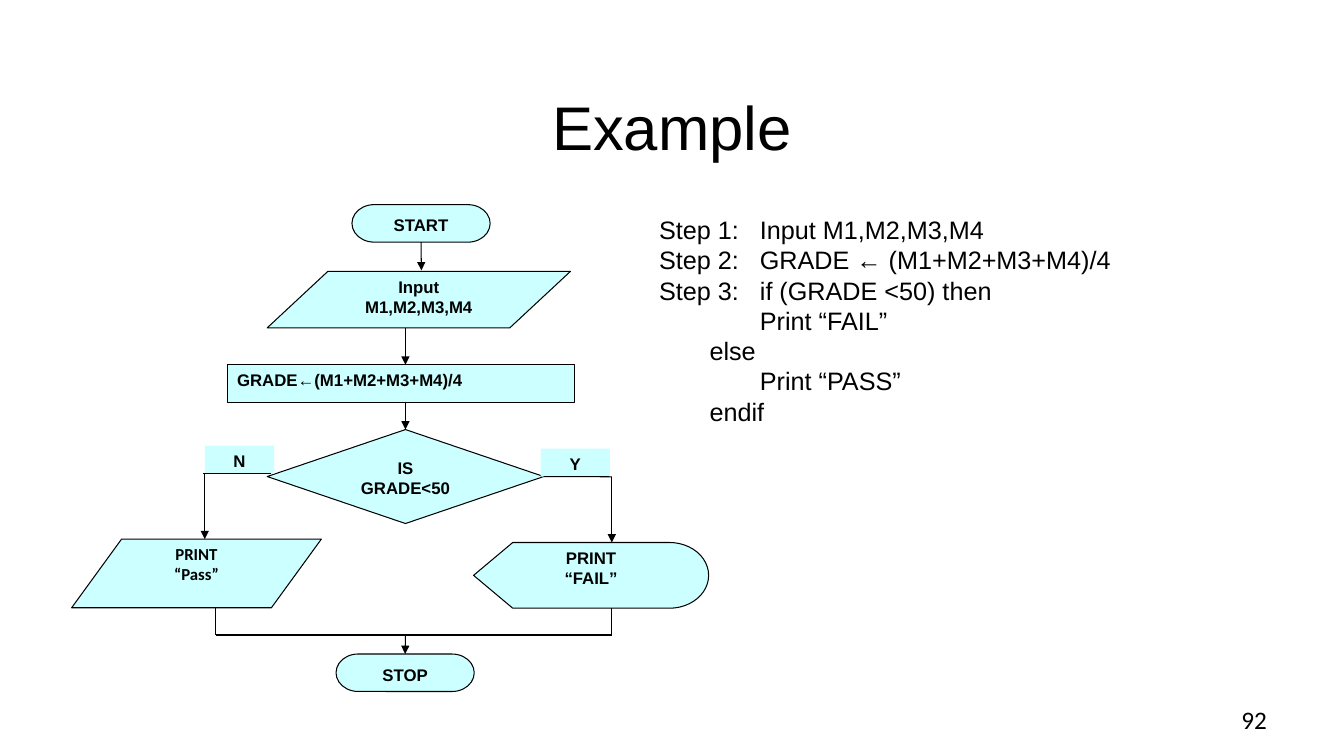
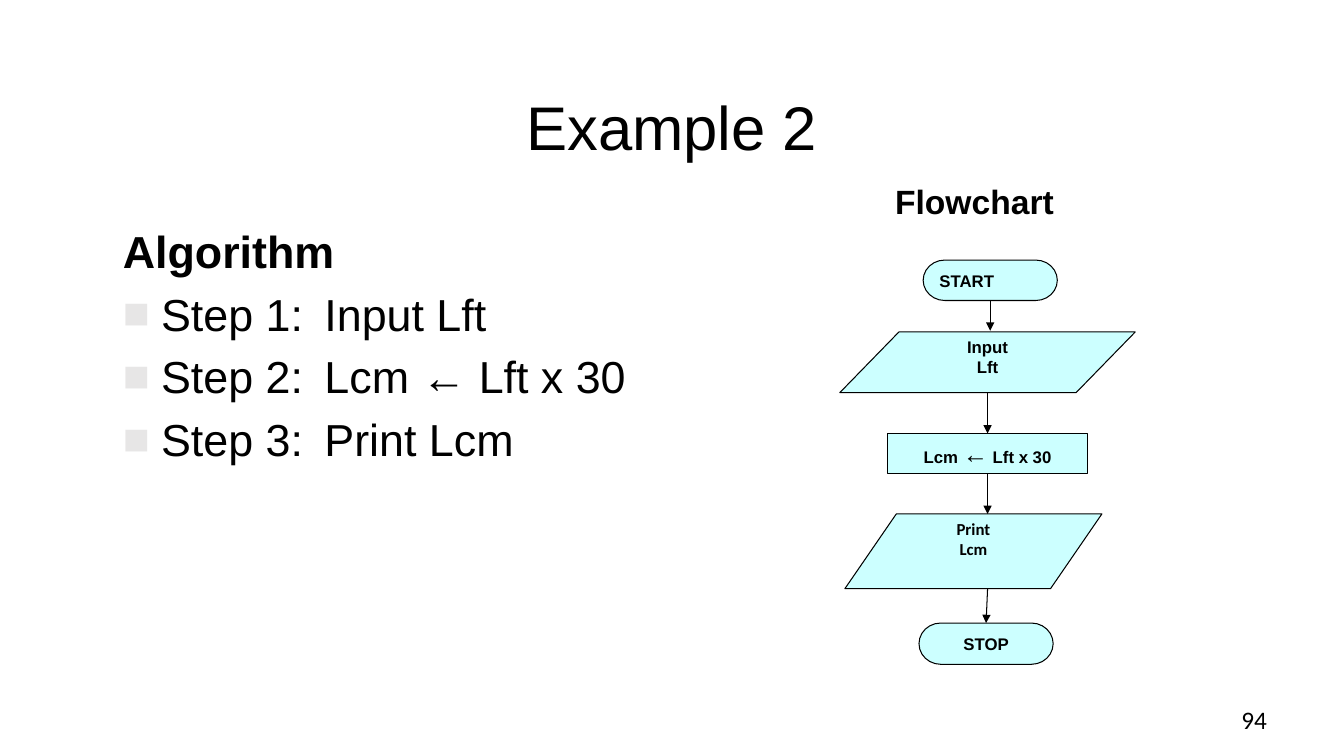
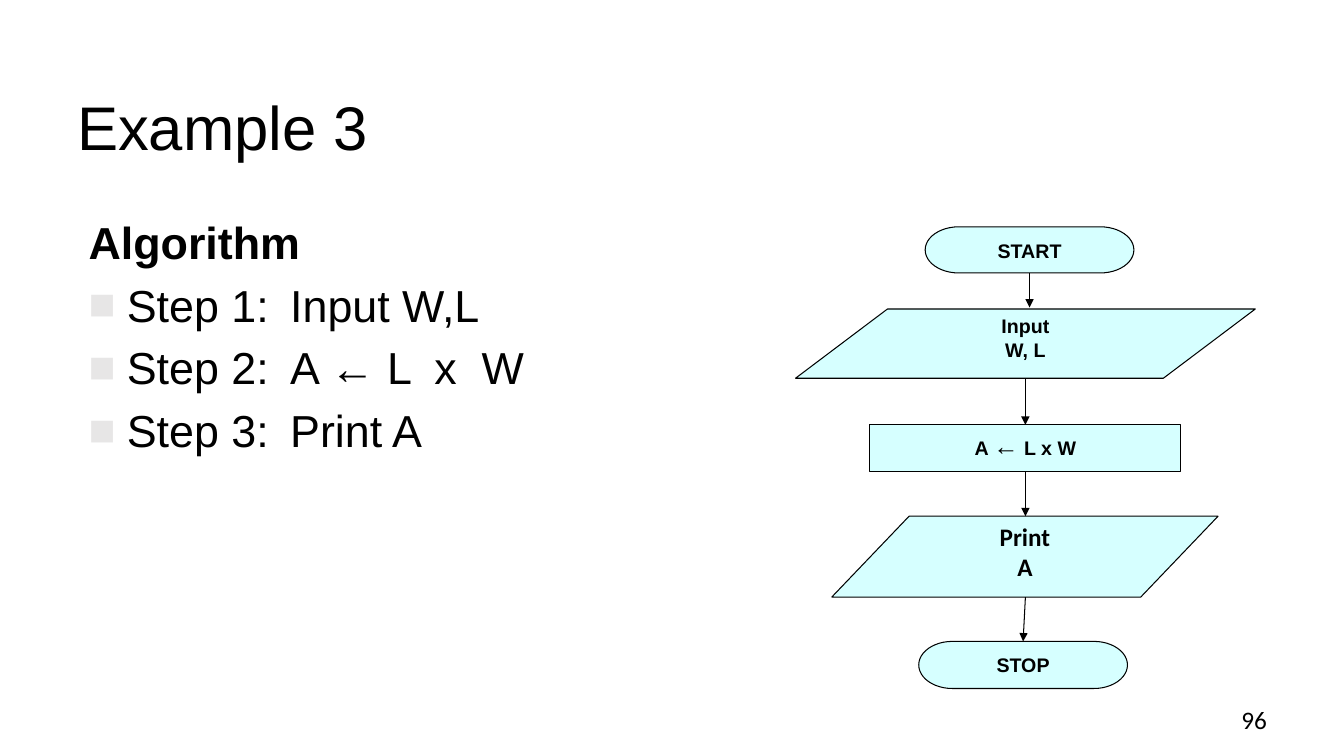
from pptx import Presentation, util as u
from pptx.dml.color import RGBColor
from pptx.enum import shapes, text
from pptx.oxml import ns
from lxml import etree

BLACK = RGBColor(0x00, 0x00, 0x00)
AQUA = RGBColor(0xCC, 0xFF, 0xFF)
GREY = RGBColor(0xE7, 0xE6, 0xE6)
WIDE, HIGH = 13.33, 7.5
PAGE = (0, 0, WIDE, HIGH)
KIND = shapes.MSO_SHAPE
LEFT, MID, RIGHT = text.PP_ALIGN.LEFT, text.PP_ALIGN.CENTER, text.PP_ALIGN.RIGHT
TOP, CORE, LOW = text.MSO_ANCHOR.TOP, text.MSO_ANCHOR.MIDDLE, text.MSO_ANCHOR.BOTTOM
LABEL = dict(size=12, bold=True)
PLAIN = dict(size=12, bold=True, name="Calibri")


def put(item, vals):
    """Set each format value on an item."""
    for key, val in vals.items():
        setattr(item, key, val)


def part(box, x, y, w, h):
    """Return the part of a box given in percent of its size."""
    return (box[0] + box[2] * x / 100, box[1] + box[3] * y / 100,
            box[2] * w / 100, box[3] * h / 100)


def inch(vals):
    """Turn numbers into inch lengths."""
    return [u.Inches(val) for val in vals]


def node(root, tag, **vals):
    """Append a drawing element with its attributes."""
    sub = etree.SubElement(root, ns.qn("a:" + tag))
    for key, val in vals.items():
        sub.set(key, str(val))
    return sub


def indent(para, left=0, hang=0, tabs=(), mark=None):
    """Give a paragraph its indents, bullet and tab stops."""
    props = para._p.get_or_add_pPr()
    props.set("marL", str(u.Inches(left)))
    props.set("indent", str(u.Inches(-hang)))
    if mark:
        node(node(props, "buClr"), "srgbClr", val=GREY)
        node(props, "buFont", typeface="Arial")
        node(props, "buChar", char=mark)
    if tabs:
        stops = node(props, "tabLst")
        for tab in tabs:
            node(stops, "tab", pos=u.Inches(tab), algn="l")


def write(para, line, font, odd=None):
    """Write a line whose bars part plain runs from odd ones."""
    for num, bit in enumerate(line.split("|")):
        run = para.add_run()
        run.text = bit
        look = dict(name="Arial", bold=False) | font | (odd or {} if num % 2 else {})
        put(run.font, look | dict(size=u.Pt((look["size"]))))
        run.font.color.rgb = BLACK


def fill(shape, lines, font, align=LEFT, anchor=TOP, odd=None):
    """Fill a shape with lines and return its paragraphs."""
    frame = shape.text_frame
    put(frame, dict(word_wrap=True, vertical_anchor=anchor))
    paras = []
    for num, line in enumerate(lines):
        para = frame.add_paragraph() if num else frame.paragraphs[0]
        para.alignment = align
        write(para, line, font, odd)
        paras.append(para)
    return paras


def words(slide, box, lines, font, align=LEFT, anchor=TOP):
    """Place a text box and return its paragraphs."""
    return fill(slide.shapes.add_textbox(*inch(box)), lines, font, align, anchor)


def block(slide, box, kind, lines, font=LABEL, align=MID, edge=True, alpha=100, odd=None):
    """Place one flowchart block."""
    shape = slide.shapes.add_shape(kind, *inch(box))
    shape.shadow.inherit = False
    shape.fill.solid()
    shape.fill.fore_color.rgb = AQUA
    if alpha < 100:
        node(shape._element.spPr.find(ns.qn("a:solidFill"))[0], "alpha", val=alpha * 1000)
    if edge:
        shape.line.color.rgb = BLACK
        shape.line.width = u.Pt(0.75)
    else:
        shape.line.fill.background()
    fill(shape, lines, font, align, odd=odd)
    return shape


def wire(slide, box, ends, head=True, start=None, stop=None):
    """Draw a line between two points of a box, joined where sides are given."""
    x, y, w, h = part(box, *ends[:2], ends[2] - ends[0], ends[3] - ends[1])
    line = slide.shapes.add_connector(shapes.MSO_CONNECTOR.STRAIGHT,
                                      *inch((x, y, x + w, y + h)))
    if start:
        line.begin_connect(*start)
    if stop:
        line.end_connect(*stop)
    line.line.color.rgb = BLACK
    line.line.width = u.Pt(0.75)
    props = line._element.spPr
    if head:
        node(props.find(ns.qn("a:ln")), "tailEnd", type="triangle")
    node(props, "effectLst")


def base(deck, title, num, align=MID):
    """Add a slide with its title and number."""
    slide = deck.slides.add_slide(deck.slide_layouts[6])
    words(slide, part(PAGE, 5, 6.67, 90, 20), [title], dict(size=44), align, CORE)
    words(slide, part(PAGE, 71.7, 91.1, 23.3, 6.67), [num],
          dict(size=18, name="Calibri"), RIGHT, LOW)
    return slide


def steps(slide, box, rows):
    """Write steps, each line at its own indent."""
    paras = words(slide, box, [row[1] for row in rows], dict(size=18))
    for para, (left, _) in zip(paras, rows):
        indent(para, left, tabs=(1,))


def points(slide, box, lines, tabs):
    """Write the algorithm as a bold heading over bulleted steps."""
    paras = words(slide, box, ["Algorithm", *lines], dict(size=32))
    paras[0].runs[0].font.bold = True
    for num, para in enumerate(paras):
        indent(para, 0.38, 0.38, tabs, "■" if num else None)
        if num:
            para.space_before = u.Pt(6.4)


def branch(slide, box):
    """Draw the grade flowchart with its two branches."""
    def add(place, kind, *lines, **opts):
        return block(slide, part(box, *place), kind, lines, **opts)

    axis, west, east, join = 52.4, 22.6, 84.8, 88.4
    start = add((44, 0, 21.7, 7.7), KIND.FLOWCHART_TERMINATOR, "START")
    add((30.7, 13.7, 47.6, 11.6), KIND.FLOWCHART_DATA, "Input", "M1,M2,M3,M4")
    add((24.4, 32.9, 54.6, 7.7), KIND.FLOWCHART_PROCESS, "GRADE←(M1+M2+M3+M4)/4", align=LEFT)
    test = add((30.7, 46.2, 43.4, 19.3), KIND.FLOWCHART_DECISION, "IS", "GRADE<50")
    add((63.1, 69.4, 36.9, 13.5), KIND.FLOWCHART_DISPLAY, "PRINT", "“FAIL”")
    add((0, 68.7, 39.2, 14.1), KIND.FLOWCHART_DATA, "PRINT", "“Pass”", font=PLAIN)
    stop = add((41.5, 92.3, 21.7, 7.7), KIND.FLOWCHART_TERMINATOR, "STOP")
    for x, y, name in ((73.6, 50.1, "Y"), (20.9, 49.5, "N")):
        add((x, y, 10.9, 5.8), KIND.RECTANGLE, name, edge=False)
    for ends, opts in (
            ((54.9, 7.7, 54.9, 13.5), dict(start=(start, 2))),
            ((axis, 25.3, axis, 32.9), {}),
            ((axis, 40.6, axis, 46.2), dict(stop=(test, 0))),
            ((axis, join, axis, 92.3), dict(stop=(stop, 0))),
            ((74.1, 55.9, east, 55.9), dict(head=False, start=(test, 3))),
            ((east, 55.9, east, 69.4), {}),
            ((20.6, 55.3, 31.3, 55.3), dict(head=False)),
            ((20.9, 55.3, 20.9, 68.7), {}),
            ((west, join, east, join), dict(head=False)),
            ((west, join, west, 82.8), dict(head=False)),
            ((east, join, east, 82.8), dict(head=False))):
        wire(slide, box, ends, **opts)


def chain(slide, box, texts, last, fonts, align=MID, alpha=100):
    """Draw five blocks in a column joined by arrows."""
    odd = dict(size=18, bold=False)
    rows = (((28.2, 0, 45.4, 10), KIND.FLOWCHART_TERMINATOR, align),
            ((0, 17.8, 100, 15), KIND.FLOWCHART_DATA, MID),
            ((16.2, 42.9, 67.6, 10), KIND.FLOWCHART_PROCESS, MID),
            (last, KIND.FLOWCHART_DATA, MID),
            ((26.8, 89.8, 45.4, 10.2), KIND.FLOWCHART_TERMINATOR, MID))
    label, output = fonts
    start, _, work, _, stop = [
        block(slide, part(box, *place), kind, lines, output if place is last else label,
              side, alpha=alpha, odd=odd)
        for (place, kind, side), lines in zip(rows, texts)]
    for ends, opts in (((50.9, 10, 50.9, 17.5), dict(start=(start, 2))),
                       ((50, 32.8, 50, 42.9), dict(stop=(work, 0))),
                       ((50, 52.9, 50, last[1]), dict(start=(work, 2))),
                       ((50, last[1] + last[3], 50, 89.8), dict(stop=(stop, 0)))):
        wire(slide, box, ends, **opts)


def main():
    """Build and save the three slides."""
    deck = Presentation()
    put(deck, dict(slide_width=u.Inches(WIDE), slide_height=u.Inches(HIGH)))

    slide = base(deck, "Example", "92")
    steps(slide, part(PAGE, 48.3, 27.7, 50, 33.6), (
        (0, "Step 1:\tInput M1,M2,M3,M4"), (0, "Step 2:\tGRADE ← (M1+M2+M3+M4)/4"),
        (0, "Step 3:\tif (GRADE <50) then"), (1, "Print “FAIL”"), (0.5, "else"),
        (1, "Print “PASS”"), (0.5, "endif")))
    branch(slide, part(PAGE, 5.33, 27.07, 47.4, 64.4))

    slide = base(deck, "Example 2", "94")
    points(slide, part(PAGE, 8.4, 28.93, 86.6, 56.7),
           ("Step 1:\tInput Lft", "Step 2:\tLcm ← Lft x 30", "Step 3:\tPrint Lcm"), (2,))
    words(slide, part(PAGE, 65.87, 23.33, 24.2, 6.67), ["Flowchart"], dict(size=24, bold=True))
    chain(slide, part(PAGE, 62.49, 34.4, 21.98, 53.47),
          (["START"], ["Input", "Lft"], ["Lcm |←| Lft x 30"], ["Print", "Lcm"], ["STOP"]),
          (1.7, 62.8, 87, 18.5), (LABEL, PLAIN), align=LEFT)

    slide = base(deck, "Example 3", "96", LEFT)
    points(slide, part(PAGE, 5.85, 27.73, 90, 56.7),
           ("Step 1:\tInput W,L", "Step 2:\tA ← L\tx\tW", "Step 3:\tPrint A"), (2, 3.43, 3.9))
    chain(slide, part(PAGE, 59.19, 30, 34.21, 61.07),
          (["START"], ["Input", "W, L"], ["A |←| L x W"], ["Print", "A"], ["STOP"]),
          (7.9, 62.7, 84, 17.5), (LABEL | dict(size=14), PLAIN | dict(size=18)), alpha=79)

    deck.save("out.pptx")


if __name__ == "__main__":
    main()
